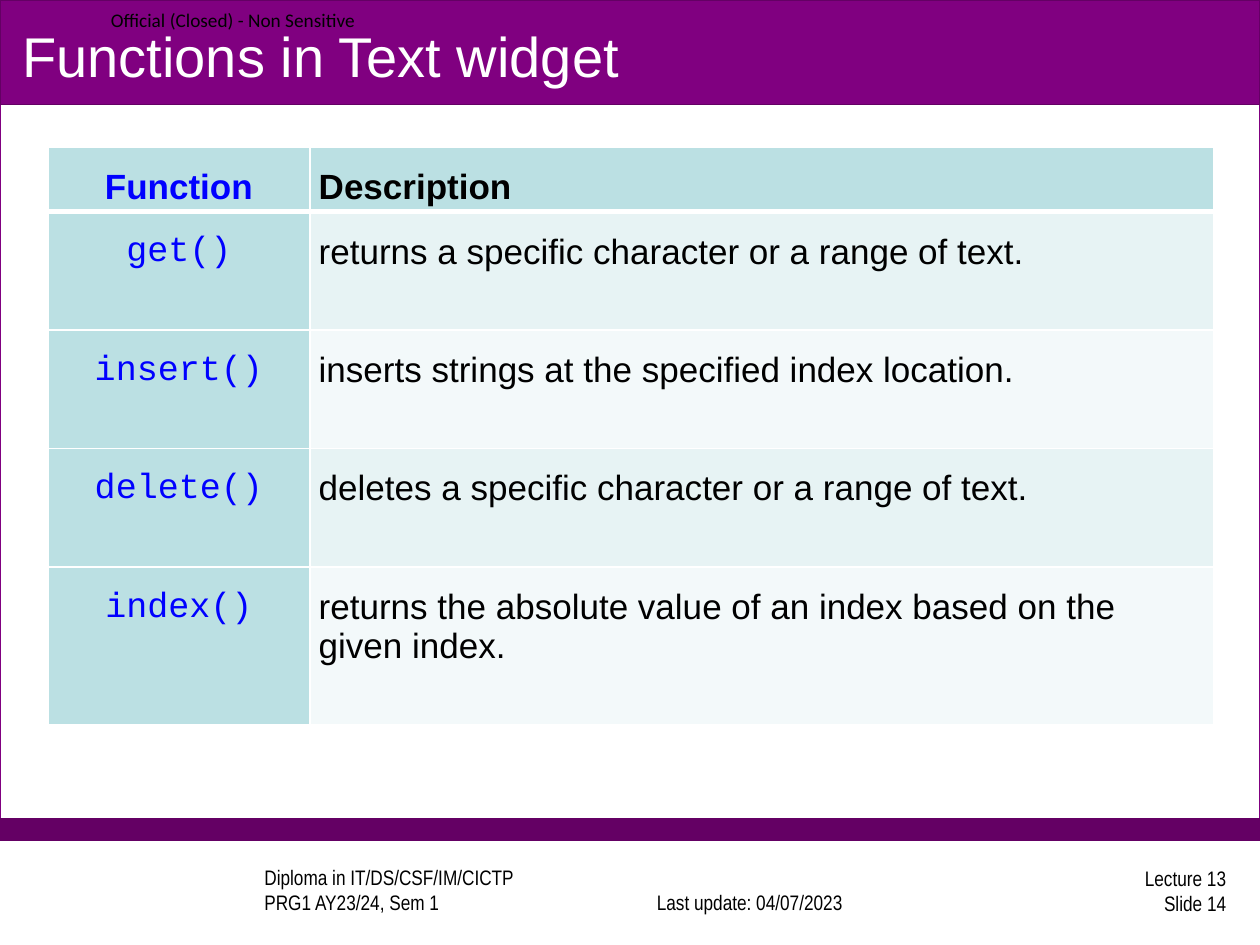
from pptx import Presentation
from pptx.dml.color import RGBColor
from pptx.enum.shapes import MSO_SHAPE
from pptx.enum.text import MSO_ANCHOR as ANCHOR, PP_ALIGN as ALIGN
from pptx.oxml import parse_xml
from pptx.oxml.ns import nsdecls
from pptx.util import Inches, Pt

COLORS = {
    "white": "FFFFFF", "black": "000000", "blue": "0000FF",
    "purple": "800080", "dark_purple": "640064",
    "teal": "BBE0E3", "odd_row": "E7F3F4", "even_row": "F3F9FA",
}
FUNCTIONS = [
    ("get()", ["returns a specific character or a range of text."]),
    ("insert()", ["inserts strings at the specified index location."]),
    ("delete()", ["deletes a specific character or a range of text."]),
    ("index()", ["returns the absolute value of an index based on the",
                 "given index."]),
]
COLUMN_WIDTHS = [2.08, 7.17]
ROW_HEIGHTS = [0.46, 0.94, 0.94, 0.94, 1.25]


def rgb(name):
    return RGBColor.from_string(COLORS[name])


def add_run(p, text, size, font, color, bold=False):
    r = p.add_run()
    r.text = text
    r.font.size = Pt(size)
    r.font.name = font
    r.font.bold = bold
    r.font.color.rgb = rgb(color)


def add_band(slide, top, height, fill, line):
    sp = slide.shapes.add_shape(MSO_SHAPE.RECTANGLE, 0, Inches(top),
                                Inches(10), Inches(height))
    sp.shadow.inherit = False
    sp.fill.solid()
    sp.fill.fore_color.rgb = rgb(fill)
    sp.line.color.rgb = rgb(line)
    sp.line.width = Pt(0.75)


def add_text(slide, box, lines, size, font, color="black",
             align=ALIGN.LEFT, anchor=ANCHOR.MIDDLE, inset=True):
    tf = slide.shapes.add_textbox(*map(Inches, box)).text_frame
    tf.word_wrap = True
    tf.vertical_anchor = anchor
    if not inset:
        tf.margin_left = tf.margin_right = tf.margin_top = tf.margin_bottom = 0
    p = tf.paragraphs[0]
    p.alignment = align
    for i, line in enumerate(lines):
        if i:
            p.add_line_break()
        add_run(p, line, size, font, color)


def set_borders(cell, bottom):
    tcPr = cell._tc.get_or_add_tcPr()
    widths = {"lnL": 1, "lnR": 1, "lnT": 1, "lnB": bottom}
    for i, (tag, width) in enumerate(widths.items()):
        tcPr.insert(i, parse_xml(
            f'<a:{tag} {nsdecls("a")} w="{Pt(width)}"><a:solidFill>'
            f'<a:srgbClr val="{COLORS["white"]}"/></a:solidFill></a:{tag}>'))


def fill_cell(cell, lines, fill, font="Arial", color="black",
              align=ALIGN.LEFT, bold=False, bottom=1):
    cell.fill.solid()
    cell.fill.fore_color.rgb = rgb(fill)
    cell.margin_left = cell.margin_right = Inches(0.07)
    cell.margin_top = Inches(0.01)
    cell.margin_bottom = 0
    set_borders(cell, bottom)
    tf = cell.text_frame
    for i, line in enumerate(lines):
        p = tf.add_paragraph() if i else tf.paragraphs[0]
        p.alignment = align
        p.line_spacing = 1.0 if i else 1.5
        add_run(p, line, 20, font, color, bold)


def add_function_table(slide):
    table = slide.shapes.add_table(
        len(ROW_HEIGHTS), len(COLUMN_WIDTHS), Inches(0.38), Inches(1.17),
        Inches(sum(COLUMN_WIDTHS)), Inches(sum(ROW_HEIGHTS))).table
    for column, width in zip(table.columns, COLUMN_WIDTHS):
        column.width = Inches(width)
    for row, height in zip(table.rows, ROW_HEIGHTS):
        row.height = Inches(height)
    fill_cell(table.cell(0, 0), ["Function"], "teal", color="blue",
              align=ALIGN.CENTER, bold=True, bottom=3)
    fill_cell(table.cell(0, 1), ["Description"], "teal", bold=True, bottom=3)
    for i, (name, description) in enumerate(FUNCTIONS, 1):
        fill_cell(table.cell(i, 0), [name], "teal", "Courier New", "blue",
                  ALIGN.CENTER)
        fill_cell(table.cell(i, 1), description,
                  "odd_row" if i % 2 else "even_row")


def main():
    prs = Presentation()
    prs.slide_width, prs.slide_height = Inches(10), Inches(7.5)
    slide = prs.slides.add_slide(prs.slide_layouts[6])

    add_band(slide, 0, 6.67, "white", "purple")
    add_band(slide, 6.5, 0.17, "dark_purple", "dark_purple")
    add_band(slide, 0, 0.83, "purple", "dark_purple")

    add_text(slide, (2, 6.89, 2.67, 0.42),
             ["Diploma in IT/DS/CSF/IM/CICTP", "PRG1 AY23/24, Sem 1"],
             12, "Arial Narrow", anchor=ANCHOR.BOTTOM)
    add_text(slide, (4.91, 6.89, 2.08, 0.42), ["Last update: 04/07/2023"],
             12, "Arial Narrow", align=ALIGN.CENTER, anchor=ANCHOR.BOTTOM)
    add_text(slide, (7.75, 6.86, 2.08, 0.42), ["Lecture 13", "Slide 14"],
             12, "Arial Narrow", align=ALIGN.RIGHT)
    add_text(slide, (0.88, 0, 2.13, 0.31),
             ["Official (Closed) - Non Sensitive"], 11, "Calibri", inset=False)
    add_text(slide, (0.08, 0.13, 9.83, 0.62), ["Functions in Text widget"],
             32, "Arial", "white")
    add_function_table(slide)
    prs.save("out.pptx")


if __name__ == "__main__":
    main()
